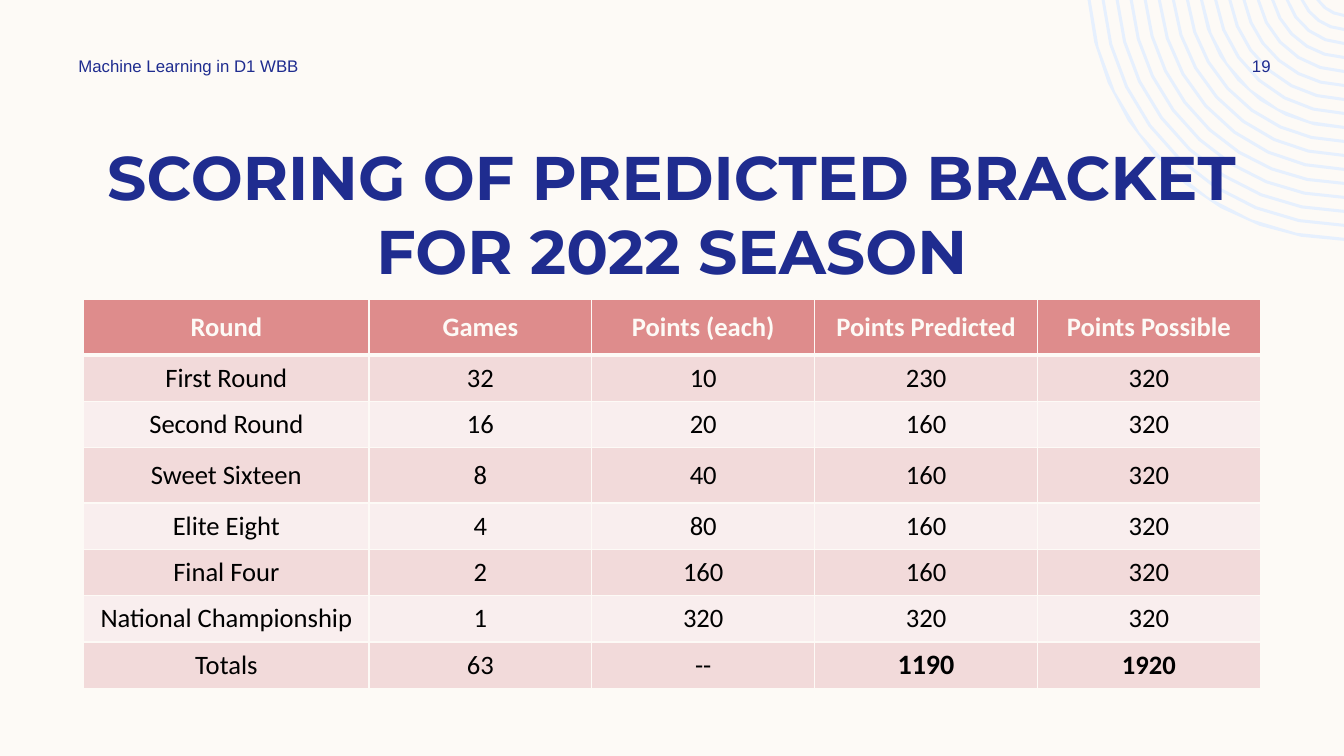
from math import asin, acos, ceil, cos, sin, sqrt
from lxml.etree import SubElement
from pptx import Presentation
from pptx.dml.color import RGBColor
from pptx.enum.text import MSO_ANCHOR as Anchor, PP_ALIGN as Align
from pptx.oxml.ns import qn
from pptx.util import Inches, Pt

# Content
TITLE = "SCORING OF PREDICTED BRACKET FOR 2022 SEASON"
TOPIC = "Machine Learning in D1 WBB"
PAGE = "19"
ROWS = [
    ("Round", "Games", "Points (each)", "Points Predicted", "Points Possible"),
    ("First Round", "32", "10", "230", "320"),
    ("Second Round", "16", "20", "160", "320"),
    ("Sweet Sixteen", "8", "40", "160", "320"),
    ("Elite Eight", "4", "80", "160", "320"),
    ("Final Four", "2", "160", "160", "320"),
    ("National Championship", "1", "320", "320", "320"),
    ("Totals", "63", "--", "1190", "1920"),
]
GRAND_TOTAL_SIZES = {"1190": 20, "1920": 19}

CREAM = RGBColor(0xFD, 0xFA, 0xF6)
NAVY = RGBColor(0x1F, 0x2C, 0x8F)
PALE_BLUE = RGBColor(0xE6, 0xF0, 0xFE)
ROSE = RGBColor(0xDE, 0x8C, 0x8C)
BANDS = (RGBColor(0xF9, 0xEE, 0xEE), RGBColor(0xF2, 0xDA, 0xDA))
BLACK = RGBColor(0, 0, 0)

# Layout, in inches
WIDTH, HEIGHT = 13.33, 7.5
MARGIN = 0.83
CONTENT_W = WIDTH - 2 * MARGIN
COLS = [2.83] + [2.21] * 4
ROW_H, TALL_ROW_H, TALL_ROWS = 0.46, 0.55, (0, 3)
RING_X, RING_Y = 13.36, -0.19
RING_COUNT, RING_OUTER, RING_INNER, RING_THICK = 17, 2.58, 0.36, 0.03
RING_STEP = (RING_OUTER - RING_INNER) / (RING_COUNT - 1)


def write(tf, text, size=12, font="Arial", color=NAVY, bold=False,
          align=Align.LEFT, anchor=Anchor.MIDDLE):
    tf.word_wrap = True
    tf.vertical_anchor = anchor
    p = tf.paragraphs[0]
    p.alignment = align
    r = p.add_run()
    r.text = text
    r.font.size, r.font.name, r.font.bold = Pt(size), font, bold
    r.font.color.rgb = color


def text_box(slide, box, text, **fmt):
    sp = slide.shapes.add_textbox(*map(Inches, box))
    write(sp.text_frame, text, **fmt)


def arc(radius):
    """Points from the slide's top edge round to its right edge."""
    start = asin(-RING_Y / radius)
    end = acos((RING_X - WIDTH) / radius)
    steps = ceil(5 * sqrt(radius))  # larger arcs need more points
    angles = [start + (end - start) * i / steps for i in range(steps + 1)]
    return [(Inches(RING_X - radius * cos(a)), Inches(RING_Y + radius * sin(a)))
            for a in angles]


def draw_rings(slide):
    builder = None
    for i in range(RING_COUNT):
        radius = RING_OUTER - i * RING_STEP
        points = arc(radius) + arc(radius - RING_THICK)[::-1]
        if builder is None:
            builder = slide.shapes.build_freeform(*points[0])
        else:
            builder.move_to(*points[0])
        builder.add_line_segments(points[1:], close=True)
    sp = builder.convert_to_shape()
    sp.shadow.inherit = False
    sp.fill.solid()
    sp.fill.fore_color.rgb = PALE_BLUE
    sp.line.fill.background()


def set_borders(cell, bottom, top):
    tc_pr = cell._tc.get_or_add_tcPr()
    widths = {"a:lnL": 1, "a:lnR": 1, "a:lnT": top, "a:lnB": bottom}
    for tag, width in widths.items():
        ln = SubElement(tc_pr, qn(tag), w=str(Pt(width)))
        fill = SubElement(ln, qn("a:solidFill"))
        SubElement(fill, qn("a:srgbClr"), val=str(CREAM))


def draw_table(slide):
    heights = [TALL_ROW_H if i in TALL_ROWS else ROW_H for i in range(len(ROWS))]
    frame = slide.shapes.add_table(len(ROWS), len(COLS), Inches(MARGIN), Inches(2.97),
                                   Inches(CONTENT_W), Inches(sum(heights)))
    table = frame.table
    table.first_row = table.horz_banding = False
    for col, width in zip(table.columns, COLS):
        col.width = Inches(width)
    for i, (row, height) in enumerate(zip(table.rows, heights)):
        row.height = Inches(height)
        header = i == 0
        for cell, text in zip(row.cells, ROWS[i]):
            set_borders(cell, bottom=3 if header else 1, top=3 if i == 1 else 1)
            cell.fill.solid()
            cell.fill.fore_color.rgb = ROSE if header else BANDS[i % 2]
            cell.margin_left = cell.margin_right = Inches(0.11)
            cell.margin_top = cell.margin_bottom = Inches(0.05)
            write(cell.text_frame, text, size=GRAND_TOTAL_SIZES.get(text, 19),
                  font="Calibri", color=CREAM if header else BLACK,
                  bold=header or text in GRAND_TOTAL_SIZES, align=Align.CENTER)
            cell.vertical_anchor = Anchor.MIDDLE


def main():
    prs = Presentation()
    prs.slide_width, prs.slide_height = Inches(WIDTH), Inches(HEIGHT)
    slide = prs.slides.add_slide(prs.slide_layouts[6])
    slide.background.fill.solid()
    slide.background.fill.fore_color.rgb = CREAM

    # Corner decoration
    draw_rings(slide)

    # Title and table
    text_box(slide, (MARGIN, 1.33, CONTENT_W, 0.84), TITLE, size=44,
             font="Montserrat", bold=True, align=Align.CENTER, anchor=Anchor.TOP)
    draw_table(slide)

    # Running header
    text_box(slide, (0.68, 0.5, 3.5, 0.3), TOPIC)
    text_box(slide, (11.97, 0.5, 1.08, 0.3), PAGE, align=Align.CENTER)

    prs.save("out.pptx")


if __name__ == "__main__":
    main()
